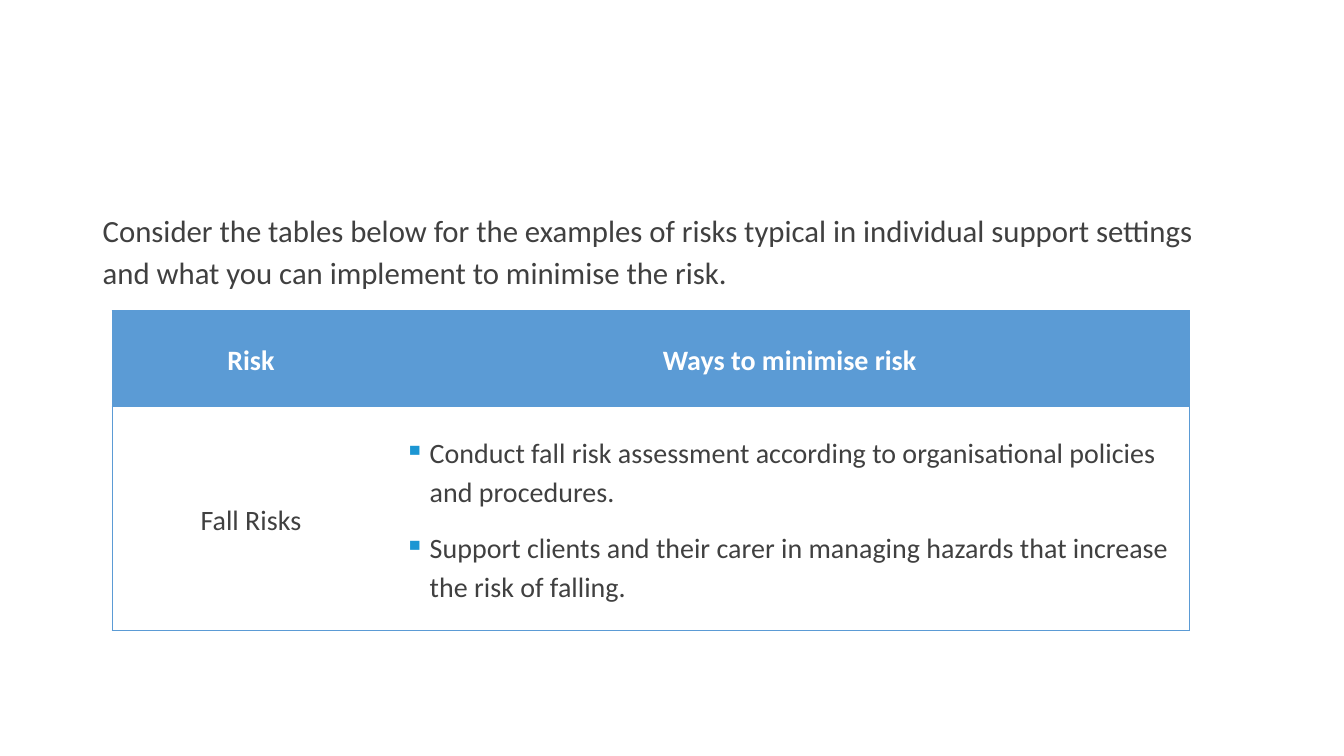
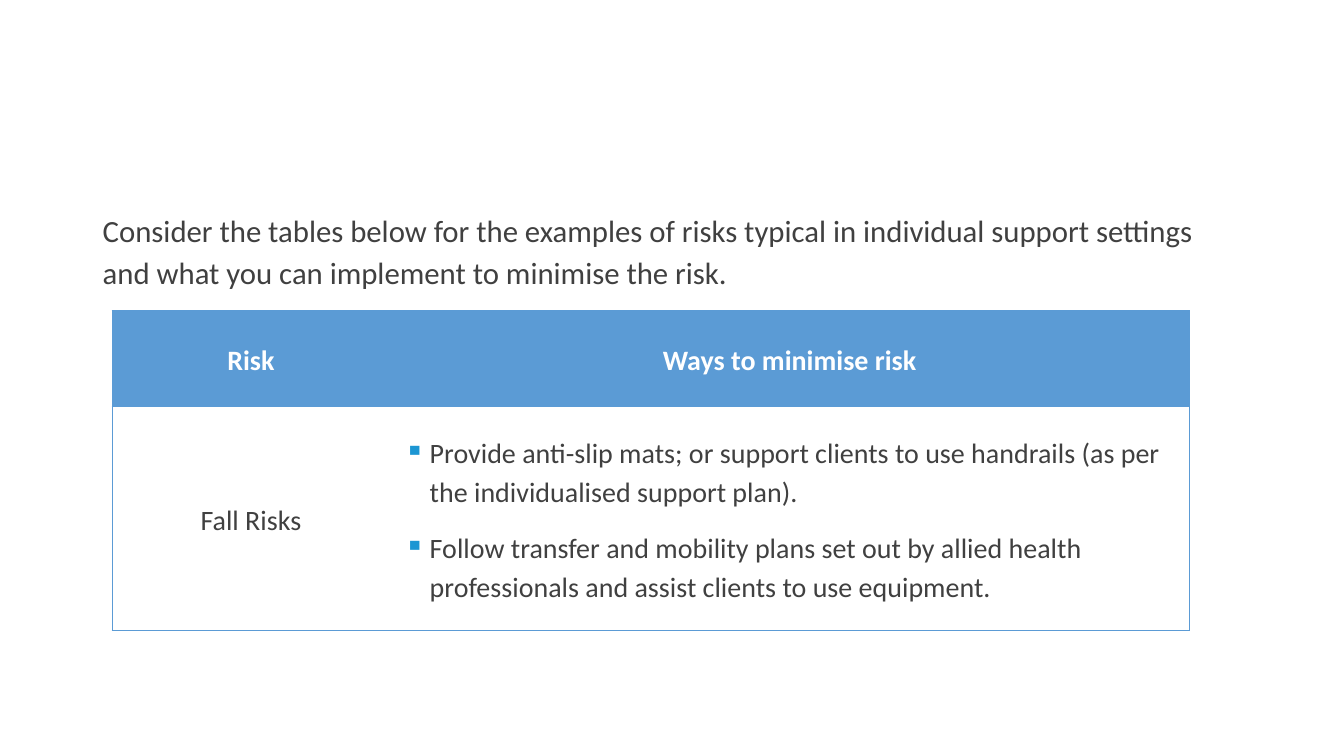
"""Build two slides on ways to minimise fall risks."""
from dataclasses import dataclass

from lxml.etree import SubElement
from pptx import Presentation
from pptx.dml.color import RGBColor
from pptx.enum.text import MSO_ANCHOR, PP_ALIGN
from pptx.oxml.ns import qn
from pptx.util import Cm, Pt

INTRO = ("Consider the tables below for the examples of risks typical in individual "
         "support settings and what you can implement to minimise the risk.")
HEADINGS = ("Risk", "Ways to minimise risk")
RISKS = [
    ("Fall Risks", [
        "Conduct fall risk assessment according to organisational policies and procedures.",
        "Support clients and their carer in managing hazards that increase the risk of falling.",
    ]),
    ("Fall Risks", [
        "Provide anti-slip mats; or support clients to use handrails "
        "(as per the individualised support plan).",
        "Follow transfer and mobility plans set out by allied health professionals "
        "and assist clients to use equipment.",
    ]),
]


@dataclass(frozen=True)
class Theme:
    font: str = "Calibri"
    ink: str = "404040"
    blue: str = "5B9BD5"
    bullet: str = "1C96D3"
    white: str = "FFFFFF"
    intro_size: int = 22
    table_size: int = 20
    line_spacing: float = 1.14
    paragraph_gap: int = 6
    border: float = 0.5


THEME = Theme()
SLIDE_SIZE = Cm(33.87), Cm(19.05)
INTRO_BOX = Cm(2.34), Cm(5.08), Cm(28.02), Cm(2.6)
TABLE_ORIGIN = Cm(2.82), Cm(7.82)
COLUMNS = Cm(7.19), Cm(19.96)
ROWS = Cm(2.41), Cm(5.66)
BULLET_INDENT = Cm(0.64)


def add_bullet(paragraph):
    properties = paragraph._p.get_or_add_pPr()
    properties.set("marL", str(BULLET_INDENT))
    properties.set("indent", str(-BULLET_INDENT))
    SubElement(SubElement(properties, qn("a:buClr")), qn("a:srgbClr"), val=THEME.bullet)
    SubElement(properties, qn("a:buChar"), char="▪")


def write(frame, paragraphs, *, size=THEME.table_size, color=THEME.ink, bold=False,
          align=PP_ALIGN.LEFT, bulleted=False):
    frame.word_wrap = True
    for index, text in enumerate(paragraphs):
        paragraph = frame.add_paragraph() if index else frame.paragraphs[0]
        if bulleted:
            add_bullet(paragraph)
        paragraph.alignment = align
        paragraph.line_spacing = THEME.line_spacing
        paragraph.space_before = Pt(THEME.paragraph_gap if index else 0)
        paragraph.space_after = Pt(THEME.paragraph_gap)
        run = paragraph.add_run()
        run.text = text
        run.font.name = THEME.font
        run.font.size = Pt(size)
        run.font.bold = bold
        run.font.color.rgb = RGBColor.from_string(color)


def style_cell(cell, fill, visible_sides):
    cell.vertical_anchor = MSO_ANCHOR.MIDDLE
    cell.margin_left, cell.margin_right = Cm(0.18), Cm(0.36)
    cell.margin_top = cell.margin_bottom = 0
    properties = cell._tc.get_or_add_tcPr()
    for side in "LRTB":
        border = SubElement(properties, qn(f"a:ln{side}"), w=str(Pt(THEME.border)))
        if side in visible_sides:
            solid = SubElement(border, qn("a:solidFill"))
            SubElement(solid, qn("a:srgbClr"), val=THEME.blue)
        else:
            SubElement(border, qn("a:noFill"))
    cell.fill.solid()
    cell.fill.fore_color.rgb = RGBColor.from_string(fill)


def add_risk_table(slide, risk, measures):
    table = slide.shapes.add_table(len(ROWS), len(COLUMNS), *TABLE_ORIGIN,
                                   sum(COLUMNS), sum(ROWS)).table
    table.horz_banding = False
    for column, width in zip(table.columns, COLUMNS):
        column.width = width
    for row, height in zip(table.rows, ROWS):
        row.height = height
    for column, (heading, outer_side) in enumerate(zip(HEADINGS, "LR")):
        header = table.cell(0, column)
        style_cell(header, THEME.blue, outer_side + "TB")
        write(header.text_frame, [heading], color=THEME.white, bold=True,
              align=PP_ALIGN.CENTER)
        style_cell(table.cell(1, column), THEME.white, outer_side + "TB")
    write(table.cell(1, 0).text_frame, [risk], align=PP_ALIGN.CENTER)
    write(table.cell(1, 1).text_frame, measures, bulleted=True)


def main():
    deck = Presentation()
    deck.slide_width, deck.slide_height = SLIDE_SIZE
    for risk, measures in RISKS:
        slide = deck.slides.add_slide(deck.slide_layouts[6])
        intro = slide.shapes.add_textbox(*INTRO_BOX)
        write(intro.text_frame, [INTRO], size=THEME.intro_size)
        add_risk_table(slide, risk, measures)
    deck.save("out.pptx")


if __name__ == "__main__":
    main()
